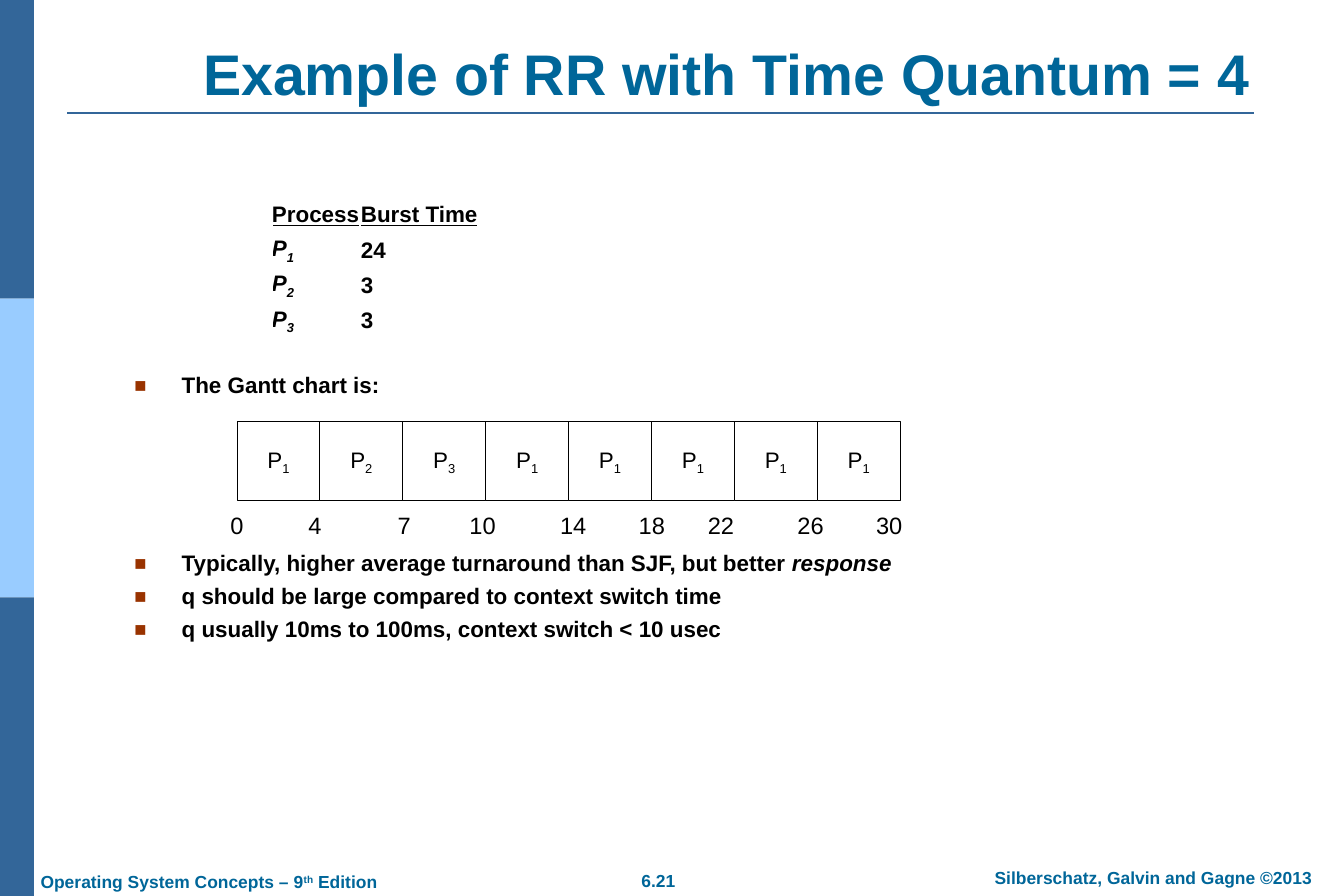
from dataclasses import dataclass

from lxml.etree import SubElement
from pptx import Presentation
from pptx.dml.color import RGBColor
from pptx.enum.shapes import MSO_CONNECTOR, MSO_SHAPE
from pptx.enum.text import MSO_ANCHOR, MSO_AUTO_SIZE, PP_ALIGN
from pptx.oxml.ns import qn
from pptx.util import Cm, Pt


@dataclass(frozen=True)
class Theme:
    font: str = "Arial"
    navy: str = "336699"
    sky: str = "99CCFF"
    teal: str = "006699"
    rust: str = "993300"
    black: str = "000000"
    white: str = "FFFFFF"
    title: int = 46
    body: int = 18
    time: int = 19
    footer: int = 14


@dataclass(frozen=True)
class Box:
    left: float
    top: float
    width: float
    height: float

    def lengths(self):
        return Cm(self.left), Cm(self.top), Cm(self.width), Cm(self.height)


THEME = Theme()


def color(name):
    return RGBColor.from_string(name)


def format_run(run, size, fill=THEME.black, bold=False, italic=False, baseline=0):
    run.font.name = THEME.font
    run.font.size = Pt(size)
    run.font.color.rgb = color(fill)
    run.font.bold = bold
    run.font.italic = italic
    if baseline:
        run.font._element.set("baseline", str(baseline * 1000))


def append_run(paragraph, text, size, **style):
    run = paragraph.add_run()
    run.text = text
    format_run(run, size, **style)


def write_process(paragraph, number, **style):
    paragraph.text = "P"
    format_run(paragraph.runs[0], THEME.body, **style)
    append_run(paragraph, str(number), THEME.body, baseline=-25, **style)


def set_frame(text_frame, anchor, wrap=True):
    text_frame.auto_size = MSO_AUTO_SIZE.NONE
    text_frame.word_wrap = wrap
    text_frame.vertical_anchor = anchor
    text_frame.margin_left = text_frame.margin_right = Cm(0.36)
    text_frame.margin_top = text_frame.margin_bottom = Cm(0.18)


def place(shape, box):
    shape.left, shape.top, shape.width, shape.height = box.lengths()


def add_rectangle(slide, box, fill):
    shape = slide.shapes.add_shape(MSO_SHAPE.RECTANGLE, *box.lengths())
    shape.shadow.inherit = False
    shape.fill.solid()
    shape.fill.fore_color.rgb = color(fill)
    shape.line.fill.background()
    return shape


def add_label(slide, box, text, size, align, anchor=MSO_ANCHOR.TOP, **style):
    shape = slide.shapes.add_textbox(*box.lengths())
    set_frame(shape.text_frame, anchor, wrap=False)
    shape.text_frame.text = text
    paragraph = shape.text_frame.paragraphs[0]
    paragraph.alignment = align
    format_run(paragraph.runs[0], size, **style)
    return paragraph


def add_sidebar(slide, box):
    height = box.height / 3
    for index, fill in enumerate((THEME.navy, THEME.sky, THEME.navy)):
        add_rectangle(slide, Box(box.left, box.top + index * height, box.width, height), fill)


def add_title(slide, box, text):
    title = slide.shapes.title
    place(title, box)
    set_frame(title.text_frame, MSO_ANCHOR.BOTTOM)
    title.text_frame.text = text
    paragraph = title.text_frame.paragraphs[0]
    paragraph.alignment = PP_ALIGN.CENTER
    format_run(paragraph.runs[0], THEME.title, fill=THEME.teal, bold=True)
    bottom = Cm(box.top + box.height)
    rule = slide.shapes.add_connector(
        MSO_CONNECTOR.STRAIGHT, Cm(box.left - 1.9), bottom, Cm(box.left + 31.75), bottom)
    rule.line.color.rgb = color(THEME.navy)
    rule.line.width = Pt(1.5)
    SubElement(rule._element.spPr, qn("a:effectLst"))


def add_process_table(slide, box, bursts):
    table = slide.shapes.add_table(len(bursts) + 1, 2, *box.lengths()).table
    table.first_row = table.horz_banding = False
    table.columns[0].width = Cm(2.52)
    table.columns[1].width = Cm(box.width - 2.52)
    for cell in table.iter_cells():
        cell.fill.background()
        cell.vertical_anchor = MSO_ANCHOR.MIDDLE
        cell.margin_left = cell.margin_right = cell.margin_top = cell.margin_bottom = 0
    for column, heading in enumerate(("Process", "Burst Time")):
        paragraph = table.cell(0, column).text_frame.paragraphs[0]
        paragraph.text = heading
        format_run(paragraph.runs[0], THEME.body, bold=True)
        paragraph.runs[0].font.underline = True
    for number, burst in enumerate(bursts, 1):
        write_process(table.cell(number, 0).text_frame.paragraphs[0], number, bold=True, italic=True)
        paragraph = table.cell(number, 1).text_frame.paragraphs[0]
        paragraph.text = str(burst)
        format_run(paragraph.runs[0], THEME.body, bold=True)


def add_bullet(paragraph):
    properties = paragraph._p.get_or_add_pPr()
    properties.set("marL", str(Cm(1.34)))
    properties.set("indent", str(-Cm(1.34)))
    bullet_color = SubElement(properties, qn("a:buClr"))
    SubElement(bullet_color, qn("a:srgbClr"), val=THEME.rust)
    SubElement(properties, qn("a:buSzPct"), val="90000")
    SubElement(properties, qn("a:buFont"), typeface=THEME.font)
    SubElement(properties, qn("a:buChar"), char="■")


def add_notes_list(slide, box, items, chart_gap):
    body = slide.placeholders[1]
    place(body, box)
    set_frame(body.text_frame, MSO_ANCHOR.TOP)
    body.text_frame.text = "\n".join(text for text, _ in items)
    for index, (paragraph, (_, emphasis)) in enumerate(zip(body.text_frame.paragraphs, items)):
        add_bullet(paragraph)
        paragraph.line_spacing = 0.9
        paragraph.space_before = Pt((0, chart_gap)[index] if index < 2 else 7)
        format_run(paragraph.runs[0], THEME.body, bold=True)
        if emphasis:
            append_run(paragraph, emphasis, THEME.body, bold=True, italic=True)


def add_gantt_chart(slide, box, processes, times):
    width = box.width / len(processes)
    for index, number in enumerate(processes):
        cell = add_rectangle(
            slide, Box(box.left + index * width, box.top, width, box.height), THEME.white)
        cell.line.color.rgb = color(THEME.black)
        cell.line.width = Pt(0.75)
        set_frame(cell.text_frame, MSO_ANCHOR.MIDDLE, wrap=False)
        paragraph = cell.text_frame.paragraphs[0]
        paragraph.alignment = PP_ALIGN.CENTER
        write_process(paragraph, number)
    for time, offset in times.items():
        label = Box(box.left + offset - 0.65, box.top + box.height + 0.15, 1.3, 1.07)
        add_label(slide, label, str(time), THEME.time, PP_ALIGN.CENTER, MSO_ANCHOR.MIDDLE)


def add_footer(slide, box):
    style = {"fill": THEME.teal, "bold": True}
    edition = add_label(slide, Box(box.left, box.top + 0.1, 10.39, box.height),
                        "Operating System Concepts – 9", THEME.footer, PP_ALIGN.LEFT, **style)
    append_run(edition, "th", THEME.footer, baseline=30, **style)
    append_run(edition, " Edition", THEME.footer, **style)
    add_label(slide, Box(box.left + 17, box.top + 0.08, 1.75, box.height),
              "6.21", THEME.footer, PP_ALIGN.CENTER, **style)
    add_label(slide, Box(box.left + 26.26, box.top, 11.3, box.height),
              "Silberschatz, Galvin and Gagne ©2013", THEME.footer, PP_ALIGN.CENTER, **style)


def main():
    presentation = Presentation()
    presentation.slide_width, presentation.slide_height = Cm(38.1), Cm(25.4)
    slide = presentation.slides.add_slide(presentation.slide_layouts[1])
    add_sidebar(slide, Box(0, 0, 0.96, 25.4))
    add_title(slide, Box(3.81, 0.08, 33.55, 3.12), "Example of RR with Time Quantum = 4")
    add_process_table(slide, Box(7.71, 5.6, 6.5, 4), (24, 3, 3))
    add_notes_list(slide, Box(3.45, 10.44, 30.63, 11.76), (
        ("The Gantt chart is:", ""),
        ("Typically, higher average turnaround than SJF, but better ", "response"),
        ("q should be large compared to context switch time", ""),
        ("q usually 10ms to 100ms, context switch < 10 usec", ""),
    ), 123.5)
    add_gantt_chart(slide, Box(6.72, 11.94, 18.8, 2.26), (1, 2, 3, 1, 1, 1, 1, 1), {
        0: 0, 4: 2.21, 7: 4.74, 10: 6.96, 14: 9.53, 18: 11.76, 22: 13.72, 26: 16.26, 30: 18.49})
    add_footer(slide, Box(0.79, 24.41, 37.31, 0.97))
    presentation.save("out.pptx")


if __name__ == "__main__":
    main()
